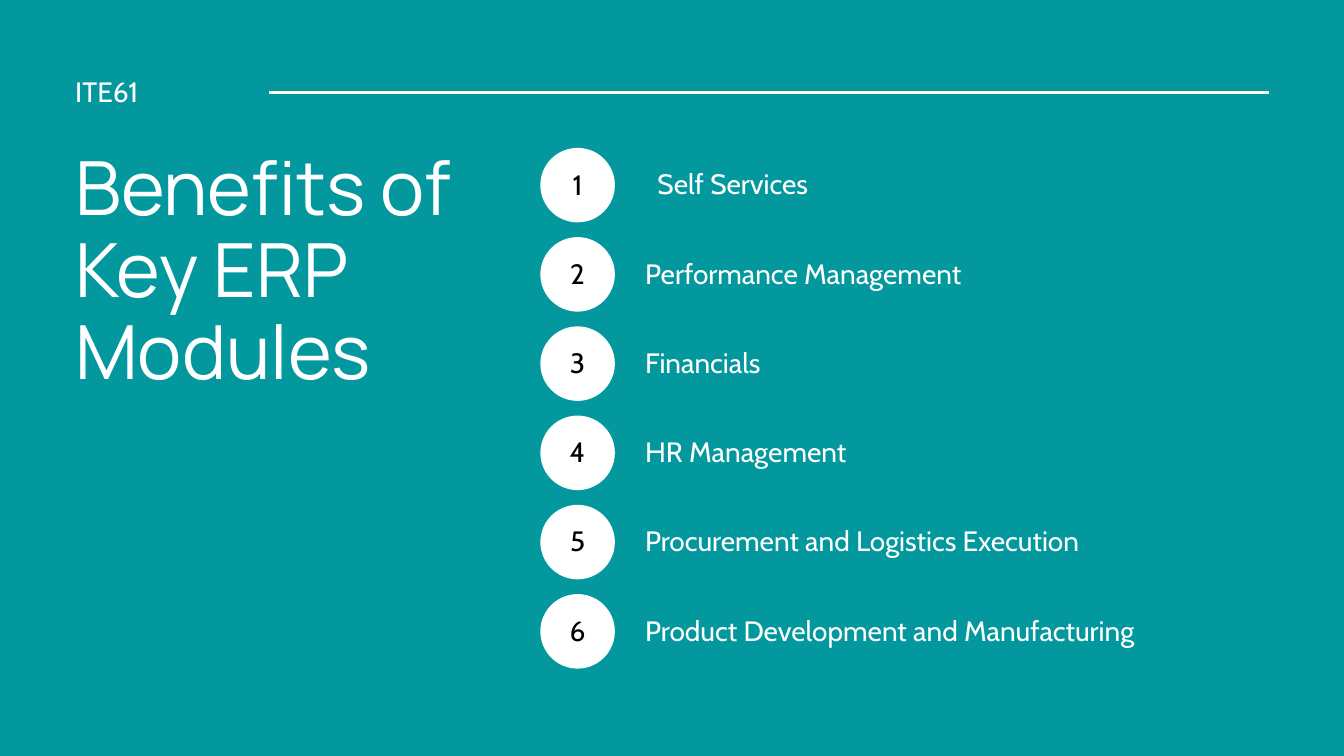
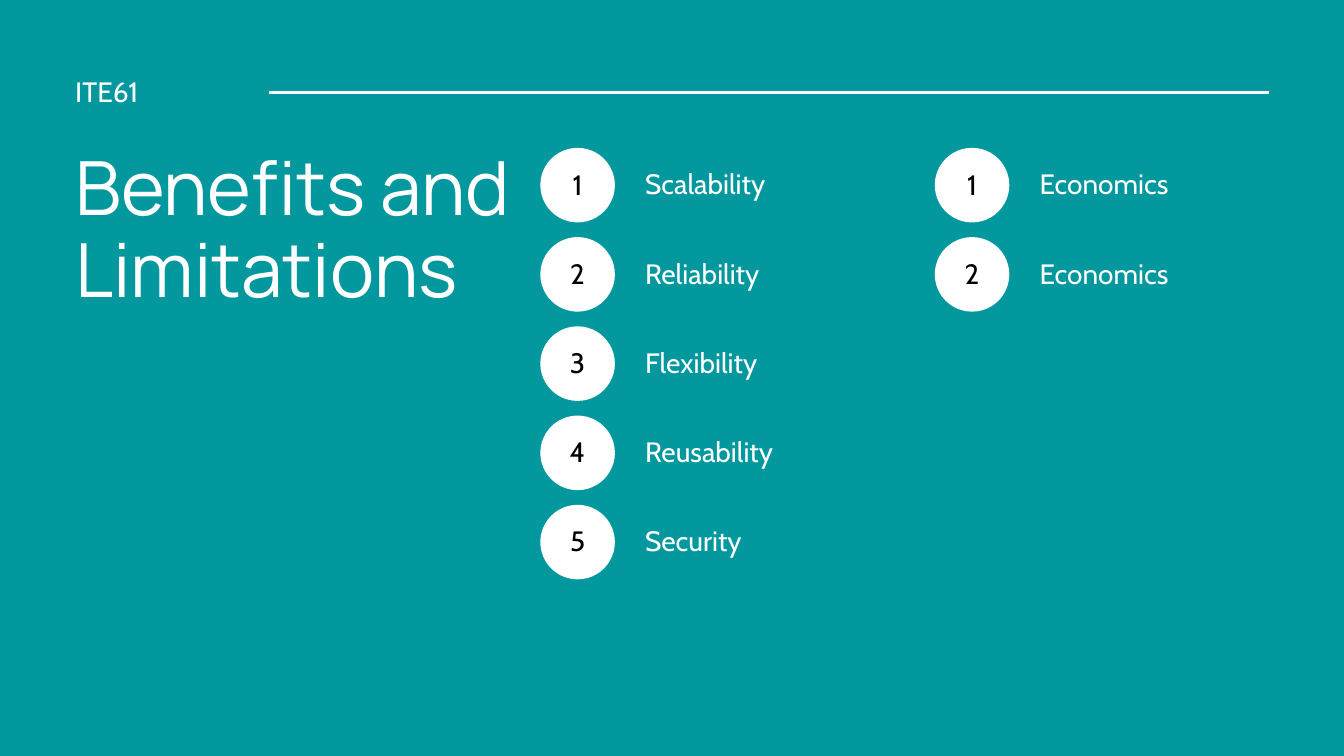
from dataclasses import dataclass

import pptx
import pptx.dml.color
import pptx.enum.shapes
import pptx.enum.text
import pptx.oxml
import pptx.oxml.ns
import pptx.shapes.autoshape
import pptx.slide
import pptx.text.text
import pptx.util

Inches = pptx.util.Inches
Pt = pptx.util.Pt
Align = pptx.enum.text.PP_ALIGN

TEAL = pptx.dml.color.RGBColor(0x03, 0x98, 0x9E)
WHITE = pptx.dml.color.RGBColor(0xFF, 0xFF, 0xFF)
BLACK = pptx.dml.color.RGBColor(0x00, 0x00, 0x00)

MARGIN = 1.12
LIST_TOP = 2.2
ROW_PITCH = (8.84 - LIST_TOP) / 5
LEFT_COLUMN = 8.04
RIGHT_COLUMN = 13.91
BADGE_SIZE = 1.11
LABEL_OFFSET_X = 1.56
LABEL_OFFSET_Y = 0.2
LABEL_HEIGHT = 0.6


@dataclass(frozen=True)
class TextStyle:
    font: str
    size: int
    line_spacing: int
    color: pptx.dml.color.RGBColor


@dataclass(frozen=True)
class Item:
    label: str
    width: float
    align: Align = Align.LEFT


@dataclass(frozen=True)
class NumberedList:
    left: float
    items: tuple[Item, ...]


@dataclass(frozen=True)
class ListSlide:
    title: str
    lists: tuple[NumberedList, ...]


TITLE = TextStyle("Manrope", 80, 88, WHITE)
LABEL = TextStyle("Cabin", 30, 42, WHITE)
NUMBER = TextStyle("Cabin", 30, 42, BLACK)

SLIDES = (
    ListSlide("Benefits of Key ERP Modules", (
        NumberedList(LEFT_COLUMN, (
            Item("Self Services", 2.61, Align.CENTER),
            Item("Performance Management", 5.42),
            Item("Financials", 2.05),
            Item("HR Management", 3.37),
            Item("Procurement and Logistics Execution", 7.57),
            Item("Product Development and Manufacturing", 8.48),
        )),
    )),
    ListSlide("Benefits and Limitations", (
        NumberedList(LEFT_COLUMN, (
            Item("Scalability", 2.14, Align.JUSTIFY),
            Item("Reliability", 2.06),
            Item("Flexibility", 2),
            Item("Reusability", 2.28),
            Item("Security", 1.7),
        )),
        NumberedList(RIGHT_COLUMN, (
            Item("Economics", 2.22),
            Item("Economics", 2.22),
        )),
    )),
)


def write_text(tf: pptx.text.text.TextFrame, text: str, style: TextStyle,
               align: Align = Align.LEFT) -> None:
    tf.margin_left = tf.margin_top = tf.margin_right = tf.margin_bottom = 0
    tf.vertical_anchor = pptx.enum.text.MSO_ANCHOR.TOP
    tf.word_wrap = True
    tf.text = text
    p = tf.paragraphs[0]
    p.alignment = align
    p.line_spacing = Pt(style.line_spacing)
    font = p.runs[0].font
    font.name = style.font
    font.size = Pt(style.size)
    font.color.rgb = style.color


def add_text(slide: pptx.slide.Slide, left: float, top: float, width: float,
             height: float, text: str, style: TextStyle,
             align: Align = Align.LEFT) -> None:
    sp = slide.shapes.add_textbox(Inches(left), Inches(top), Inches(width), Inches(height))
    write_text(sp.text_frame, text, style, align)


def add_header_rule(slide: pptx.slide.Slide) -> None:
    line = slide.shapes.add_connector(
        pptx.enum.shapes.MSO_CONNECTOR.STRAIGHT,
        Inches(4), Inches(1.38), Inches(18.88), Inches(1.38))
    line.line.color.rgb = WHITE
    line.line.width = Pt(3)
    sp_pr = line._element.spPr
    sp_pr.append(pptx.oxml.parse_xml(f"<a:effectLst {pptx.oxml.ns.nsdecls('a')}/>"))


def add_badge(slide: pptx.slide.Slide, left: float, top: float, number: int) -> None:
    sp = slide.shapes.add_shape(
        pptx.enum.shapes.MSO_SHAPE.OVAL,
        Inches(left), Inches(top), Inches(BADGE_SIZE), Inches(BADGE_SIZE))
    sp.shadow.inherit = False
    sp.fill.solid()
    sp.fill.fore_color.rgb = WHITE
    sp.line.fill.background()
    write_text(sp.text_frame, str(number), NUMBER, Align.CENTER)
    # Puts the number on the baseline of its label.
    sp.text_frame.margin_top = Inches(0.04)


def add_numbered_list(slide: pptx.slide.Slide, numbered: NumberedList) -> None:
    for row, item in enumerate(numbered.items):
        top = LIST_TOP + row * ROW_PITCH
        add_badge(slide, numbered.left, top, row + 1)
        add_text(slide, numbered.left + LABEL_OFFSET_X, top + LABEL_OFFSET_Y,
                 item.width, LABEL_HEIGHT, item.label, LABEL, item.align)


def add_list_slide(prs: pptx.presentation.Presentation, content: ListSlide) -> None:
    slide = prs.slides.add_slide(prs.slide_layouts[6])
    slide.background.fill.solid()
    slide.background.fill.fore_color.rgb = TEAL
    add_header_rule(slide)
    add_text(slide, MARGIN, 1.02, 2.53, LABEL_HEIGHT, "ITE61", LABEL)
    add_text(slide, MARGIN, LIST_TOP, 6.92, 3.77, content.title, TITLE)
    for numbered in content.lists:
        add_numbered_list(slide, numbered)


def main() -> None:
    prs = pptx.Presentation()
    prs.slide_width = Inches(20)
    prs.slide_height = Inches(11.25)
    for content in SLIDES:
        add_list_slide(prs, content)
    prs.save("out.pptx")


if __name__ == "__main__":
    main()
